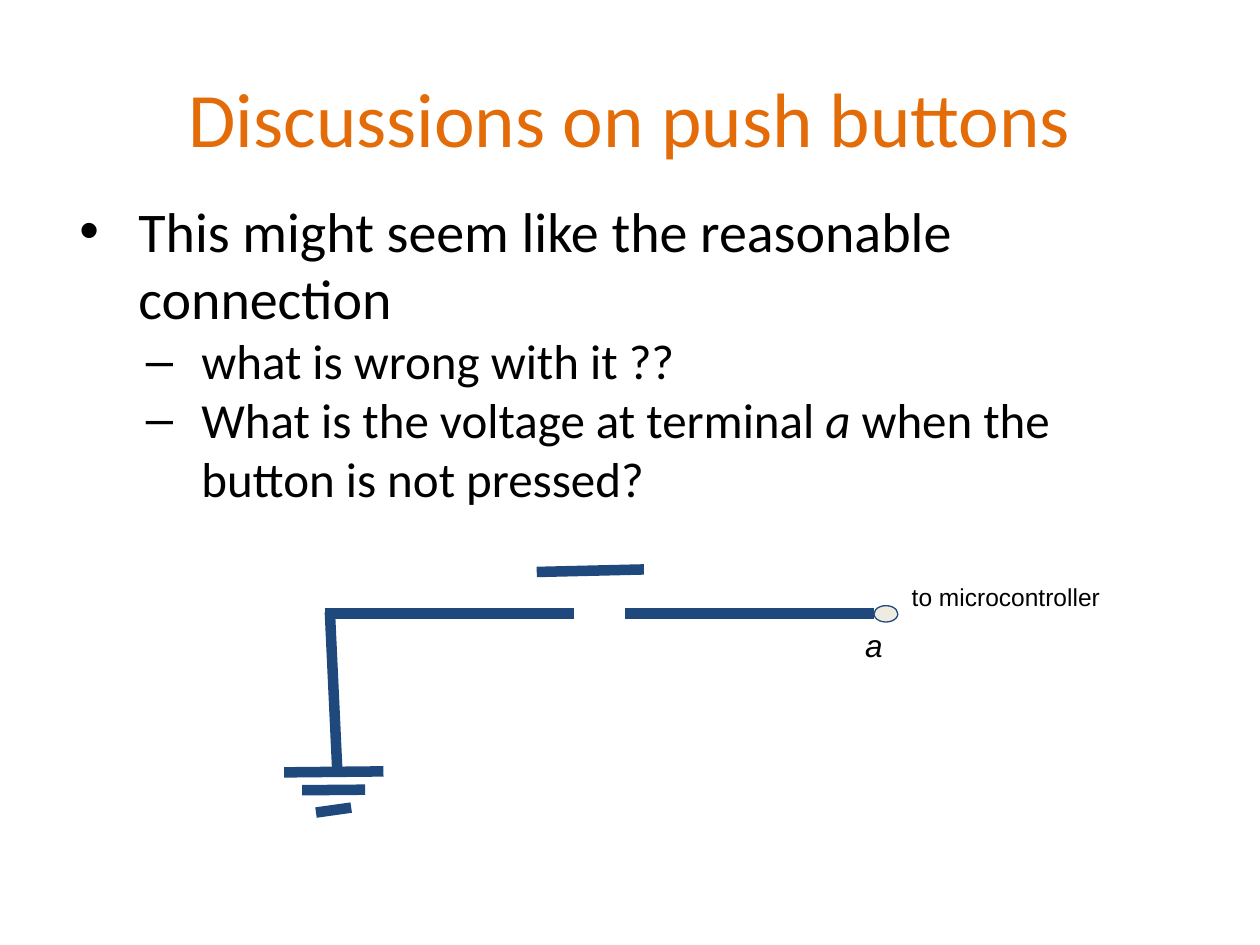
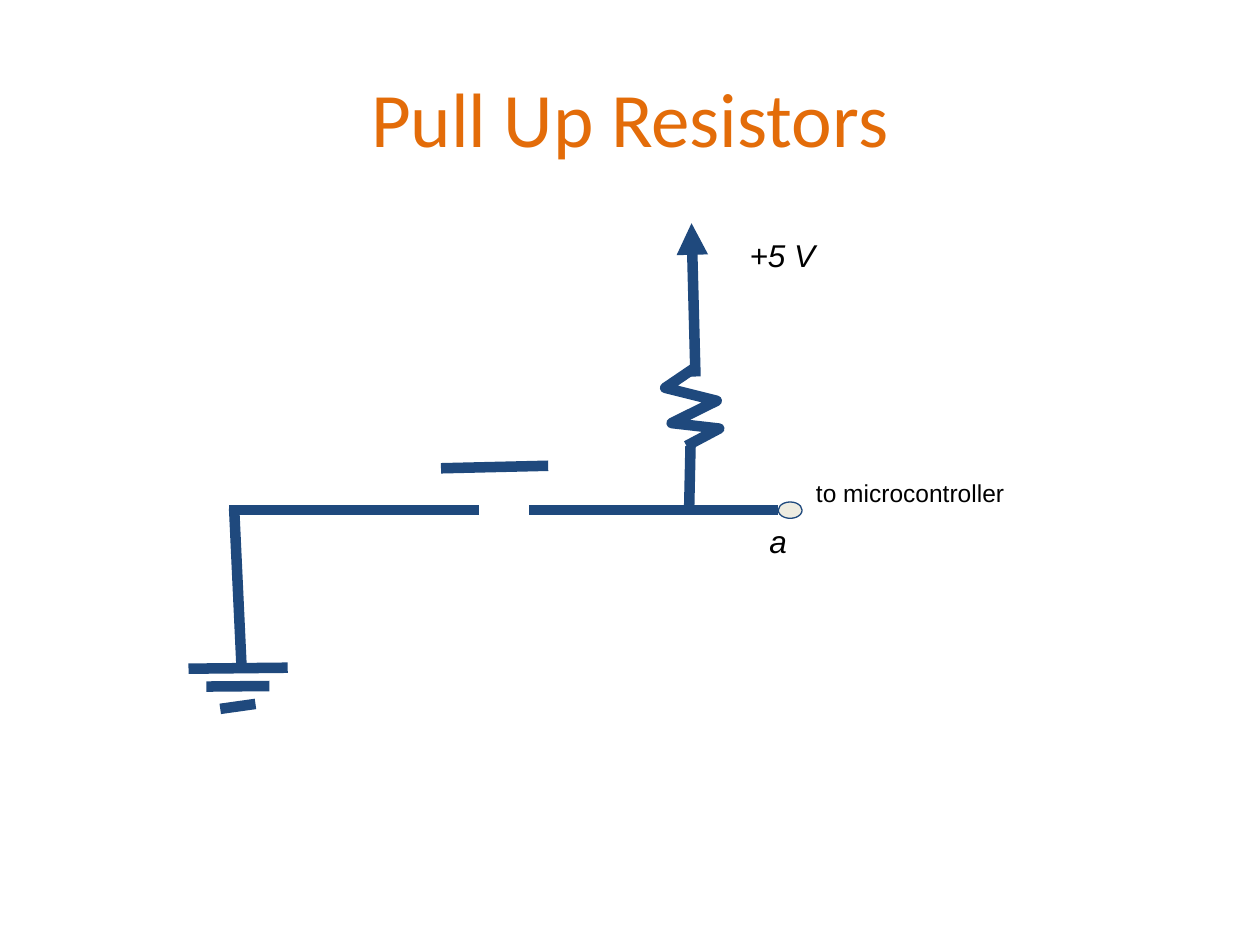
from dataclasses import dataclass

from lxml.etree import SubElement
from pptx import Presentation
from pptx.dml.color import RGBColor
from pptx.enum.shapes import MSO_CONNECTOR, MSO_SHAPE
from pptx.enum.text import MSO_ANCHOR, PP_ALIGN
from pptx.oxml.ns import qn
from pptx.util import Cm, Pt


@dataclass(frozen=True)
class Theme:
    title: RGBColor = RGBColor(0xE3, 0x6C, 0x09)
    ink: RGBColor = RGBColor(0, 0, 0)
    wire: RGBColor = RGBColor(0x1F, 0x49, 0x7D)
    node: RGBColor = RGBColor(0xEE, 0xEC, 0xE1)
    head: str = "Calibri"
    plain: str = "Arial"
    title_size: int = 44
    body_sizes: tuple = (32, 28)
    mark_size: int = 18
    note_size: int = 14
    wire_width: float = 6
    node_width: float = 0.75


class Deck:
    def __init__(self, theme):
        self.theme = theme
        self.show = Presentation()
        self.show.slide_width, self.show.slide_height = Cm(25.4), Cm(19.05)
        self.slide = None

    def page(self, title):
        self.slide = self.show.slides.add_slide(self.show.slide_layouts[6])
        frame = self.frame(1.27, 0.76, 22.86, 3.18)
        frame.vertical_anchor = MSO_ANCHOR.MIDDLE
        frame.text = title
        para = frame.paragraphs[0]
        para.alignment = PP_ALIGN.CENTER
        t = self.theme
        self.style(para, t.head, t.title_size, t.title)

    def frame(self, x, y, wide, high):
        box = self.slide.shapes.add_textbox(Cm(x), Cm(y), Cm(wide), Cm(high))
        frame = box.text_frame
        frame.word_wrap = True
        frame.margin_left = frame.margin_right = Cm(0.25)
        frame.margin_top = frame.margin_bottom = Cm(0.25)
        return frame

    def style(self, para, face, size, color):
        for run in para.runs:
            font = run.font
            font.name, font.size = face, Pt(size)
            font.color.rgb = color

    def label(self, text, x, y, size, wide=2.16, italic=True):
        frame = self.frame(x, y, wide, 2.16)
        frame.text = text
        para = frame.paragraphs[0]
        self.style(para, self.theme.plain, size, self.theme.ink)
        para.runs[0].font.italic = italic

    def bullets(self, items):
        """Add (level, pieces) items; every second piece is italic."""
        frame = self.frame(1.27, 3.71, 22.86, 12.57)
        t = self.theme
        for i, (level, pieces) in enumerate(items):
            para = frame.add_paragraph() if i else frame.paragraphs[0]
            para.level = level
            para.space_before = Pt(0 if level else 6.4)
            for j, piece in enumerate(pieces):
                run = para.add_run()
                run.text = piece
                run.font.italic = j % 2 == 1
            self.style(para, t.head, t.body_sizes[level], t.ink)
            self.bullet(para, level)

    def bullet(self, para, level):
        props = para._p.get_or_add_pPr()
        props.set("marL", str(Cm((1.27, 2.54)[level])))
        props.set("indent", str(-Cm((1.19, 1.12)[level])))
        color = SubElement(props, qn("a:buClr"))
        SubElement(color, qn("a:srgbClr"), val=str(self.theme.ink))
        SubElement(props, qn("a:buFont"), typeface=self.theme.plain)
        SubElement(props, qn("a:buChar"), char="•–"[level])

    def stroke(self, shape, width):
        shape.line.color.rgb = self.theme.wire
        shape.line.width = Pt(width)

    def wire(self, x1, y1, x2, y2, arrow=False):
        line = self.slide.shapes.add_connector(
            MSO_CONNECTOR.STRAIGHT, Cm(x1), Cm(y1), Cm(x2), Cm(y2))
        self.stroke(line, self.theme.wire_width)
        props = line._element.spPr
        if arrow:
            SubElement(props.find(qn("a:ln")), qn("a:tailEnd"), type="triangle")
        SubElement(props, qn("a:effectLst"))

    def zigzag(self, points):
        first, *rest = [(Cm(x), Cm(y)) for x, y in points]
        path = self.slide.shapes.build_freeform(*first)
        path.add_line_segments(rest, close=False)
        shape = path.convert_to_shape()
        shape.shadow.inherit = False
        shape.fill.background()
        self.stroke(shape, self.theme.wire_width)

    def node(self, x, y, wide, high):
        dot = self.slide.shapes.add_shape(
            MSO_SHAPE.OVAL, Cm(x), Cm(y), Cm(wide), Cm(high))
        dot.shadow.inherit = False
        dot.fill.solid()
        dot.fill.fore_color.rgb = self.theme.node
        self.stroke(dot, self.theme.node_width)

    def switch(self, x, y):
        """Draw the grounded push button; x, y is the left end of its wire."""
        wires = (
            (6.05, 0, 11.07, 0),           # button to terminal
            (4.27, -0.84, 6.43, -0.89),    # button cap
            (0, 0, 5.03, 0),               # ground to button
            (0.1, -0.03, 0.25, 3.18),      # ground post
            (-0.82, 3.2, 1.18, 3.18),      # ground bars
            (-0.46, 3.56, 0.81, 3.55),
            (-0.18, 4.01, 0.53, 3.91),
        )
        for x1, y1, x2, y2 in wires:
            self.wire(x + x1, y + y1, x + x2, y + y2)
        t = self.theme
        self.label("to microcontroller", x + 11.58, y - 0.89, t.note_size,
                   wide=6.6, italic=False)
        self.label("a", x + 10.64, y, t.mark_size)
        self.node(x + 11.07, y - 0.16, 0.48, 0.33)


def main():
    deck = Deck(Theme())

    deck.page("Discussions on push buttons")
    deck.bullets((
        (0, ["This might seem like the reasonable connection"]),
        (1, ["what is wrong with it ??"]),
        (1, ["What is the voltage at terminal ", "a ",
             "when the button is not pressed?"]),
    ))
    deck.switch(6.55, 12.37)

    deck.page("Pull Up Resistors")
    deck.switch(4.62, 10.28)
    deck.wire(13.92, 8.99, 13.89, 10.36)
    deck.zigzag(((13.97, 7.44), (13.41, 7.82), (14.45, 8.08),
                 (13.54, 8.53), (14.5, 8.64), (13.84, 8.99)))
    deck.wire(14.02, 7.59, 13.94, 4.5, arrow=True)
    deck.label("+5 V", 14.86, 4.5, deck.theme.mark_size)

    deck.show.save("out.pptx")


if __name__ == "__main__":
    main()
